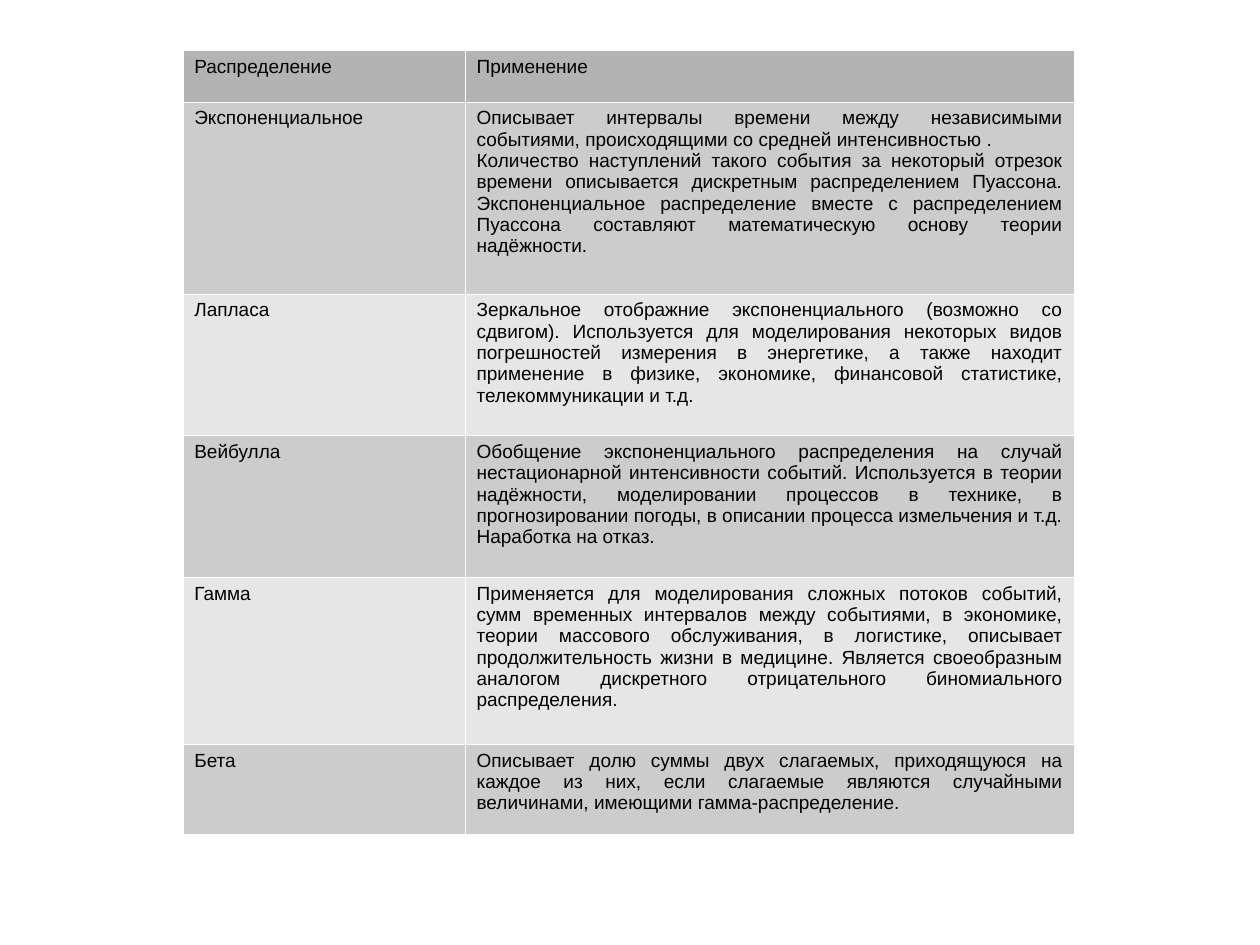
"""Builds a slide with a table of continuous distributions and their uses."""
from lxml.etree import SubElement
from pptx import Presentation
from pptx.dml.color import RGBColor
from pptx.enum.text import PP_ALIGN
from pptx.oxml.ns import qn
from pptx.util import Cm, Inches, Pt

HEADER = ("Распределение", "Применение")
DISTRIBUTIONS = [
    ("Экспоненциальное",
     "Описывает интервалы времени между независимыми событиями, происходящими "
     "со средней интенсивностью .\n"
     "Количество наступлений такого события за некоторый отрезок времени "
     "описывается дискретным распределением Пуассона. Экспоненциальное "
     "распределение вместе с распределением Пуассона составляют математическую "
     "основу теории надёжности."),
    ("Лапласа",
     "Зеркальное отображние экспоненциального (возможно со сдвигом). "
     "Используется для моделирования некоторых видов погрешностей измерения в "
     "энергетике, а также находит применение в физике, экономике, финансовой "
     "статистике, телекоммуникации и т.д."),
    ("Вейбулла",
     "Обобщение экспоненциального распределения на случай нестационарной "
     "интенсивности событий. Используется в теории надёжности, моделировании "
     "процессов в технике, в прогнозировании погоды, в описании процесса "
     "измельчения и т.д. Наработка на отказ."),
    ("Гамма",
     "Применяется для моделирования сложных потоков событий, сумм временных "
     "интервалов между событиями, в экономике, теории массового обслуживания, в "
     "логистике, описывает продолжительность жизни в медицине. Является "
     "своеобразным аналогом дискретного отрицательного биномиального "
     "распределения."),
    ("Бета",
     "Описывает долю суммы двух слагаемых, приходящуюся на каждое из них, если "
     "слагаемые являются случайными величинами, имеющими гамма-распределение."),
]
COLUMN_WIDTHS = (2.47, 5.33)
ROW_HEIGHTS = (0.45, 1.68, 1.24, 1.24, 1.46, 0.79)

BLACK = RGBColor(0x00, 0x00, 0x00)
WHITE = RGBColor(0xFF, 0xFF, 0xFF)
HEADER_GRAY = RGBColor(0xB3, 0xB3, 0xB3)
BAND_GRAYS = (RGBColor(0xE6, 0xE6, 0xE6), RGBColor(0xCC, 0xCC, 0xCC))


def write_text(frame, text, size=12, font="Arial", color=BLACK, align=PP_ALIGN.LEFT):
    """Fill a text frame with one paragraph per line of text."""
    for index, line in enumerate(text.split("\n")):
        para = frame.add_paragraph() if index else frame.paragraphs[0]
        para.alignment = align
        span = para.add_run()
        span.text = line
        span.font.size = Pt(size)
        span.font.name = font
        span.font.color.rgb = color


def draw_borders(cell, color=WHITE, width=0.06):
    """Draw a thin line on all four sides of a cell."""
    properties = cell._tc.get_or_add_tcPr()
    for side in ("a:lnL", "a:lnR", "a:lnT", "a:lnB"):
        line = SubElement(properties, qn(side), w=str(int(Pt(width))))
        fill = SubElement(line, qn("a:solidFill"))
        SubElement(fill, qn("a:srgbClr"), val=str(color))


def main():
    """Create the deck and save it."""
    deck = Presentation()
    deck.slide_width = Cm(28)
    deck.slide_height = Cm(21)
    page = deck.slides.add_slide(deck.slide_layouts[6])

    rows = [HEADER] + DISTRIBUTIONS
    table = page.shapes.add_table(
        len(rows), len(HEADER), Inches(1.6), Inches(0.44),
        Inches(sum(COLUMN_WIDTHS)), Inches(sum(ROW_HEIGHTS))).table
    table.first_row = table.horz_banding = False
    for column, width in zip(table.columns, COLUMN_WIDTHS):
        column.width = Inches(width)

    for row_index, (texts, height) in enumerate(zip(rows, ROW_HEIGHTS)):
        table.rows[row_index].height = Inches(height)
        shade = BAND_GRAYS[row_index % 2] if row_index else HEADER_GRAY
        align = PP_ALIGN.JUSTIFY if row_index else PP_ALIGN.LEFT
        for column_index, text in enumerate(texts):
            cell = table.cell(row_index, column_index)
            draw_borders(cell)
            cell.fill.solid()
            cell.fill.fore_color.rgb = shade
            write_text(cell.text_frame, text, align=align)

    deck.save("out.pptx")


if __name__ == "__main__":
    main()
